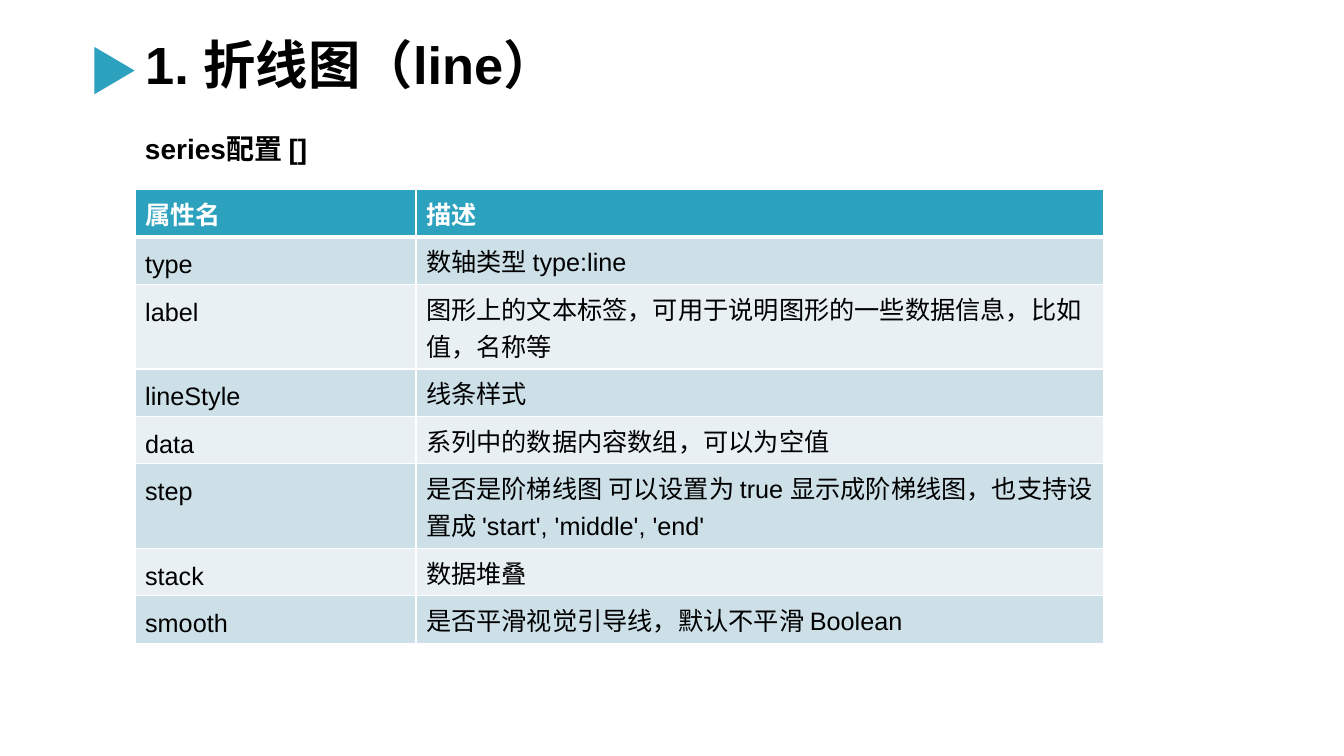
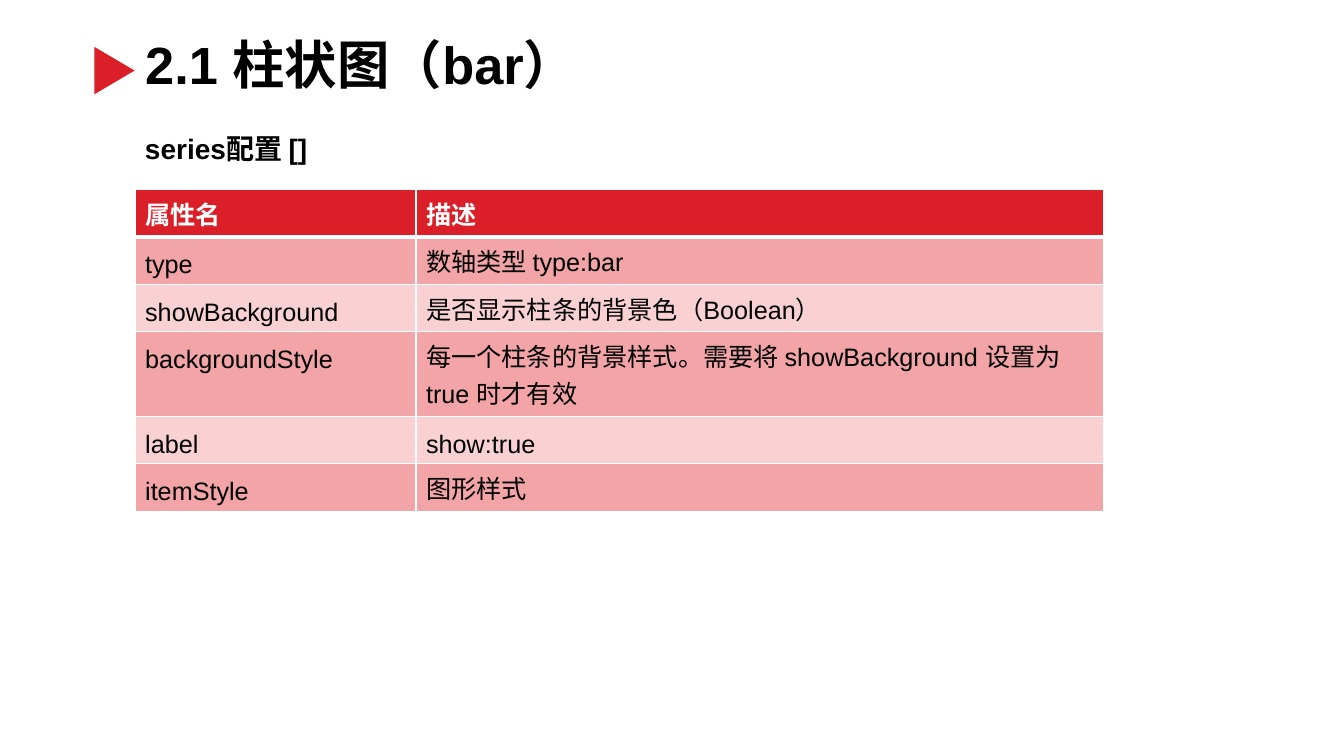
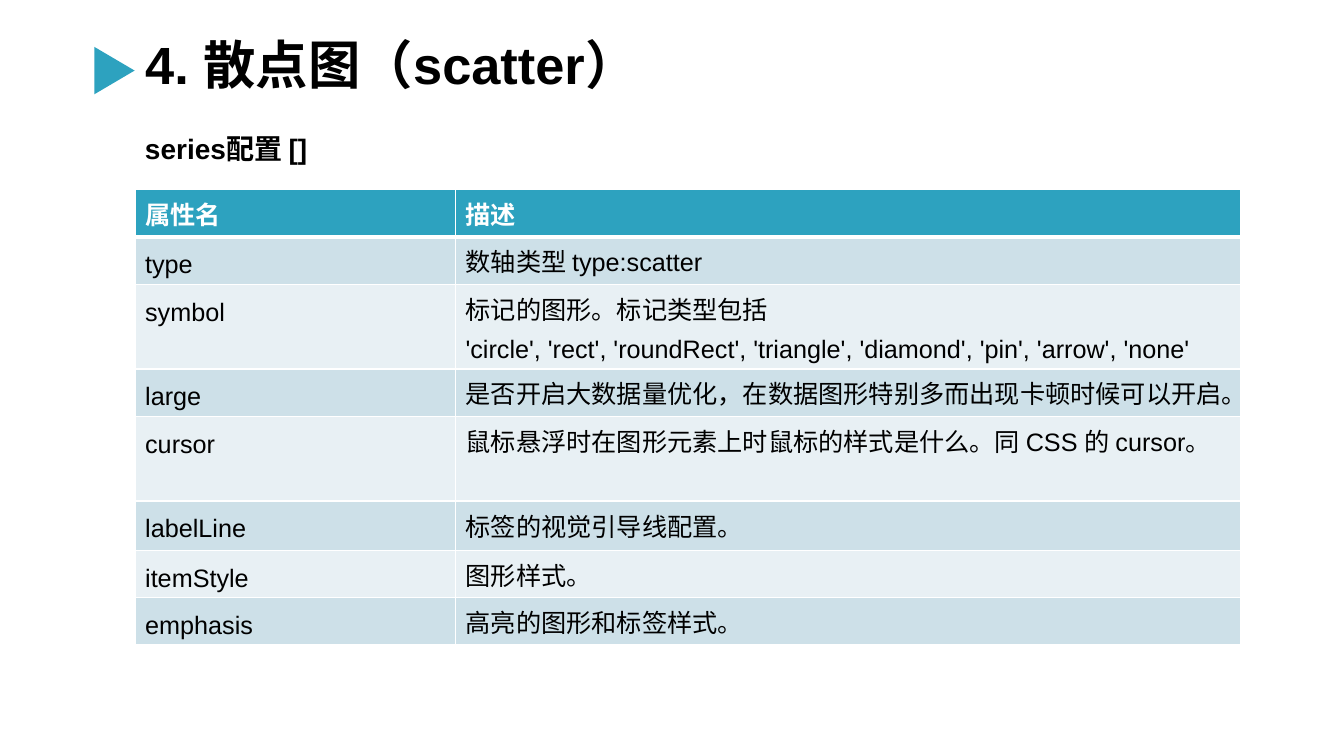
from lxml.etree import SubElement
from pptx import Presentation
from pptx.dml.color import RGBColor
from pptx.enum.shapes import MSO_SHAPE
from pptx.enum.text import MSO_ANCHOR, MSO_AUTO_SIZE, PP_ALIGN
from pptx.oxml.ns import qn
from pptx.util import Inches, Pt

BLACK = RGBColor(0x00, 0x00, 0x00)
WHITE = RGBColor(0xFF, 0xFF, 0xFF)
TEAL = (RGBColor(0x2D, 0xA2, 0xBF), RGBColor(0xCD, 0xE0, 0xE8), RGBColor(0xE8, 0xF0, 0xF4))
RED = (RGBColor(0xDA, 0x1F, 0x28), RGBColor(0xF2, 0xA4, 0xA7), RGBColor(0xF9, 0xD1, 0xD3))
FONT = "Arial"
LEFT = 10.05
ROW, TALL_ROW = 6.27, 11.2
NAME_SHARE = 0.29
HEADER = ("属性名", "描述")

SLIDES = [
    ("1. 折线图（line）", 35.56, TEAL, 72.09, [
        ("type", "数轴类型 type:line"),
        ("label", "图形上的文本标签，可用于说明图形的一些数据信息，比如值，名称等", TALL_ROW),
        ("lineStyle", "线条样式"),
        ("data", "系列中的数据内容数组，可以为空值"),
        ("step", "是否是阶梯线图 可以设置为 true 显示成阶梯线图，也支持设置成 'start', 'middle', 'end'", TALL_ROW),
        ("stack", "数据堆叠"),
        ("smooth", "是否平滑视觉引导线，默认不平滑 Boolean"),
    ]),
    ("2.1 柱状图（bar）", 43.96, RED, 72.09, [
        ("type", "数轴类型 type:bar"),
        ("showBackground", "是否显示柱条的背景色（Boolean）"),
        ("backgroundStyle", "每一个柱条的背景样式。需要将 showBackground 设置为 true 时才有效", TALL_ROW),
        ("label", "show:true"),
        ("itemStyle", "图形样式"),
    ]),
    ("4. 散点图（scatter）", 42.98, TEAL, 82.22, [
        ("type", "数轴类型 type:scatter"),
        ("symbol", "标记的图形。标记类型包括\n'circle', 'rect', 'roundRect', 'triangle', 'diamond', 'pin', 'arrow', 'none'", TALL_ROW),
        ("large", "是否开启大数据量优化，在数据图形特别多而出现卡顿时候可以开启。"),
        ("cursor", "鼠标悬浮时在图形元素上时鼠标的样式是什么。同 CSS 的 cursor。", TALL_ROW),
        ("labelLine", "标签的视觉引导线配置。", 6.53),
        ("itemStyle", "图形样式。"),
        ("emphasis", "高亮的图形和标签样式。"),
    ]),
]


class Deck:
    """Builds slides on a grid of 100 columns by 100 rows."""

    def __init__(self):
        self.prs = Presentation()
        self.prs.slide_width, self.prs.slide_height = Inches(13.33), Inches(7.5)

    def x(self, cols):
        return round(self.prs.slide_width * cols / 100)

    def y(self, rows):
        return round(self.prs.slide_height * rows / 100)

    def box(self, left, top, width, height):
        return self.x(left), self.y(top), self.x(width), self.y(height)

    def new_slide(self, colors):
        self.s = self.prs.slides.add_slide(self.prs.slide_layouts[5])
        self.colors = colors

    def set_text(self, tf, text, size, color=BLACK, bold=True, spacing=0.9):
        tf.text = text
        for p in tf.paragraphs:
            p.alignment = PP_ALIGN.LEFT
            p.line_spacing = spacing
            for r in p.runs:
                r.font.name, r.font.size, r.font.bold = FONT, Pt(size), bold
                r.font.color.rgb = color

    def heading(self, sp, text, size):
        tf = sp.text_frame
        tf.word_wrap = True
        tf.auto_size = MSO_AUTO_SIZE.NONE
        tf.vertical_anchor = MSO_ANCHOR.TOP
        self.set_text(tf, text, size)

    def title(self, text, width):
        sp = self.s.shapes.title
        sp.left, sp.top, sp.width, sp.height = self.box(LEFT, 4.53, width, 9.33)
        self.heading(sp, text, 37.4)

    def marker(self):
        sp = self.s.shapes.add_shape(MSO_SHAPE.ISOSCELES_TRIANGLE, *self.box(6.75, 6.67, 3.53, 5.33))
        sp.rotation = 90
        sp.shadow.inherit = False
        sp.fill.solid()
        sp.fill.fore_color.rgb = self.colors[0]
        sp.line.fill.background()

    def subtitle(self, text):
        sp = self.s.shapes.add_textbox(*self.box(LEFT, 17.2, 33.31, 5.87))
        self.heading(sp, text, 20)

    def borders(self, cell, top, bottom):
        tc_pr = cell._tc.get_or_add_tcPr()
        for side, width in (("L", 1), ("R", 1), ("T", top), ("B", bottom)):
            ln = SubElement(tc_pr, qn(f"a:ln{side}"), w=str(Pt(width)))
            fill = SubElement(ln, qn("a:solidFill"))
            SubElement(fill, qn("a:srgbClr"), val=str(WHITE))

    def table(self, width, rows):
        heights = [row[2] if len(row) > 2 else ROW for row in rows]
        frame = self.s.shapes.add_table(len(rows), 2, *self.box(LEFT, 25.07, width, sum(heights)))
        table = frame.table
        for column, share in zip(table.columns, (NAME_SHARE, 1 - NAME_SHARE)):
            column.width = self.x(width * share)
        for i, (row, height) in enumerate(zip(rows, heights)):
            table.rows[i].height = self.y(height)
            head = i == 0
            fill = self.colors[0] if head else self.colors[2 - i % 2]
            for j, text in enumerate(row[:2]):
                cell = table.cell(i, j)
                self.borders(cell, 3 if i == 1 else 1, 3 if head else 1)
                cell.fill.solid()
                cell.fill.fore_color.rgb = fill
                self.set_text(cell.text_frame, text, 18, WHITE if head else BLACK, head, Pt(26.6))


def main():
    deck = Deck()
    for title, title_width, colors, table_width, rows in SLIDES:
        deck.new_slide(colors)
        deck.title(title, title_width)
        deck.marker()
        deck.table(table_width, [HEADER, *rows])
        deck.subtitle("series配置 []")
    deck.prs.save("out.pptx")


if __name__ == "__main__":
    main()
